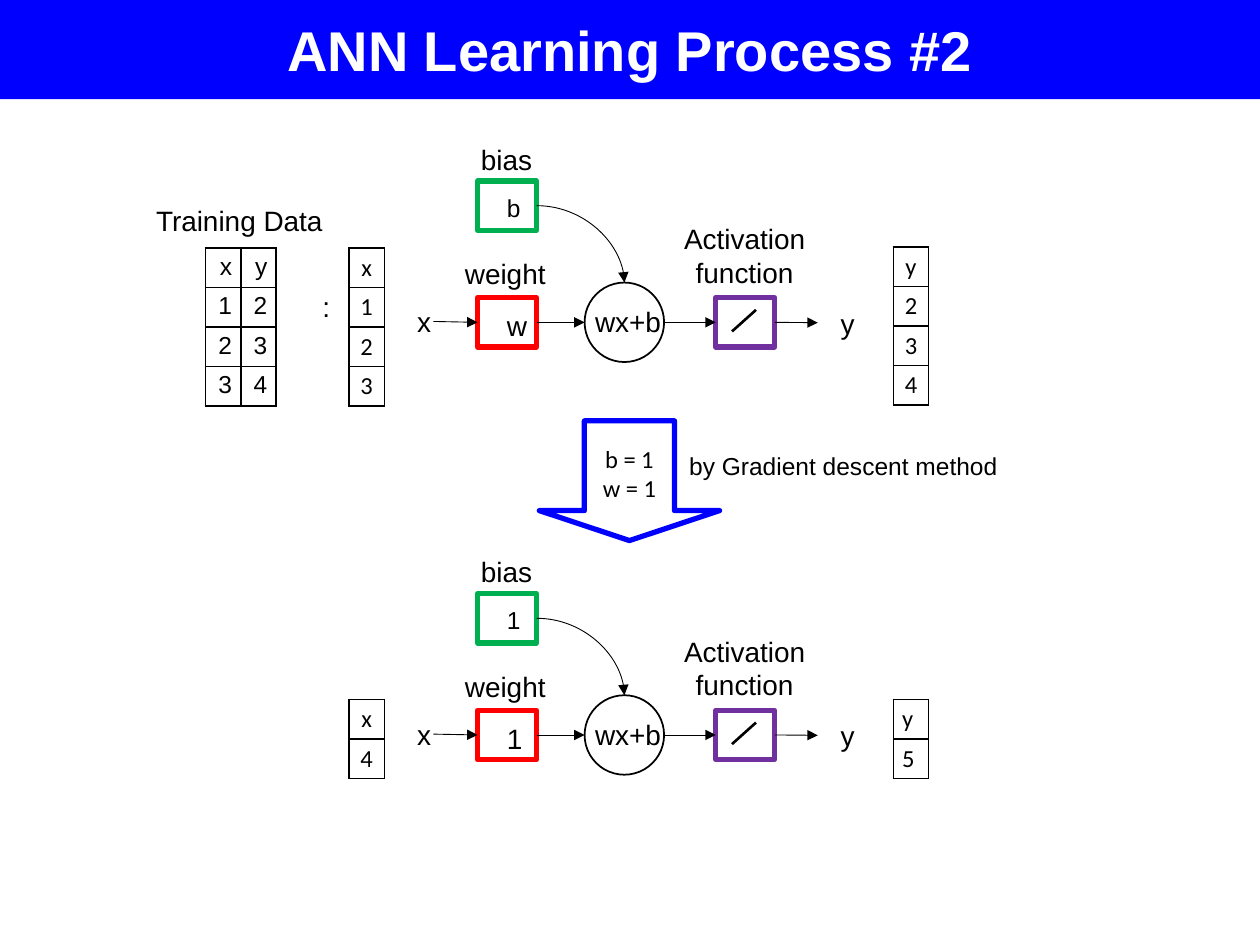
"""Build a slide that shows a one-neuron network before and after training."""
import lxml.etree
import pptx
import pptx.dml.color
import pptx.enum.shapes
import pptx.enum.text
import pptx.oxml.ns
import pptx.util

Pt = pptx.util.Pt
qn = pptx.oxml.ns.qn
ALIGN = pptx.enum.text.PP_ALIGN
ANCHOR = pptx.enum.text.MSO_ANCHOR
SHAPE = pptx.enum.shapes.MSO_SHAPE
CONNECTOR = pptx.enum.shapes.MSO_CONNECTOR
COLORS = {
    "ink": "000000",
    "paper": "FFFFFF",
    "blue": "0000FF",
    "weight": "FF0000",
    "bias": "00B050",
    "activation": "7030A0",
}
TOP, LEFT, RIGHT = 0, 1, 3


class Sketch:
    def __init__(self, slide):
        self.slide = slide
        self.canvas = slide.shapes

    def color(self, name):
        return pptx.dml.color.RGBColor.from_string(COLORS[name])

    def words(self, frame, text, size, font="Arial", color="ink", align=ALIGN.CENTER, bold=False):
        frame.text = text
        for paragraph in frame.paragraphs:
            paragraph.alignment = align
            for run in paragraph.runs:
                run.font.size = Pt(size)
                run.font.name = font
                run.font.bold = bold
                run.font.color.rgb = self.color(color)

    def shape(self, kind, left, top, width, height, line=None, weight=1, fill=None):
        shape = self.canvas.add_shape(kind, Pt(left), Pt(top), Pt(width), Pt(height))
        shape.shadow.inherit = False
        if fill:
            shape.fill.solid()
            shape.fill.fore_color.rgb = self.color(fill)
        else:
            shape.fill.background()
        if line:
            shape.line.color.rgb = self.color(line)
            shape.line.width = Pt(weight)
        else:
            shape.line.fill.background()
        shape.text_frame.vertical_anchor = ANCHOR.MIDDLE
        return shape

    def label(self, text, left, top, width, height=26.6, size=16, wrap=True, align=ALIGN.CENTER):
        box = self.canvas.add_textbox(Pt(left), Pt(top), Pt(width), Pt(height))
        self.words(box.text_frame, text, size, align=align)
        box.text_frame.word_wrap = wrap
        box.text_frame.auto_size = pptx.enum.text.MSO_AUTO_SIZE.SHAPE_TO_FIT_TEXT

    def line(self, start, end, weight=0.5, arrow=True, curved=False, source=None, target=None):
        kind = CONNECTOR.CURVE if curved else CONNECTOR.STRAIGHT
        link = self.canvas.add_connector(kind, *(Pt(value) for value in start + end))
        link.line.color.rgb = self.color("ink")
        link.line.width = Pt(weight)
        properties = link.element.spPr
        if curved:
            properties.find(qn("a:prstGeom")).set("prst", "curvedConnector2")
        if arrow:
            lxml.etree.SubElement(properties.find(qn("a:ln")), qn("a:tailEnd"), type="triangle")
        lxml.etree.SubElement(properties, qn("a:effectLst"))
        if source:
            link.begin_connect(source, RIGHT)
        if target:
            link.end_connect(target, TOP if curved else LEFT)

    def border(self, cell):
        properties = cell._tc.get_or_add_tcPr()
        for place, side in enumerate(("a:lnL", "a:lnR", "a:lnT", "a:lnB")):
            edge = lxml.etree.Element(qn(side), w=str(int(Pt(1))))
            paint = lxml.etree.SubElement(edge, qn("a:solidFill"))
            lxml.etree.SubElement(paint, qn("a:srgbClr"), val=COLORS["ink"])
            properties.insert(place, edge)

    def table(self, rows, left, top, font="Calibri", align=ALIGN.CENTER, column=20.2, row=22.2):
        count, width = len(rows), len(rows[0])
        table = self.canvas.add_table(
            count, width, Pt(left), Pt(top), Pt(column * width), Pt(row * count)
        ).table
        table.first_row = table.horz_banding = False
        for table_column in table.columns:
            table_column.width = Pt(column)
        for table_row, values in zip(table.rows, rows):
            table_row.height = Pt(row)
            for cell, value in zip(table_row.cells, values):
                cell.margin_left = cell.margin_right = Pt(5.04)
                cell.margin_top = cell.margin_bottom = Pt(2.88)
                cell.fill.background()
                self.border(cell)
                self.words(cell.text_frame, value, 14, font, align=align)

    def network(self, axis, bias_value, weight_value):
        self.canvas = self.slide.shapes.add_group_shape().shapes
        box = (33.8, 28.1)
        weight = self.shape(SHAPE.RECTANGLE, 272.9, axis - 14.05, *box, "weight", 3)
        activation = self.shape(SHAPE.RECTANGLE, 409, axis - 14.05, *box, "activation", 3)
        bias = self.shape(SHAPE.RECTANGLE, 272.9, axis - 80.7, *box, "bias", 3)
        neuron = self.shape(SHAPE.OVAL, 334.1, axis - 22.7, 45.4, 45.4, "ink", 1)

        self.line((247.7, axis - 0.5), (272.9, axis), target=weight)
        self.line((306.7, axis), (334.1, axis), source=weight)
        self.line((379.5, axis), (409, axis), target=activation)
        self.line((442.8, axis), (467.3, axis + 0.2), source=activation)
        self.line((418.3, axis + 5.2), (432, axis - 7.1), weight=1.5, arrow=False)
        self.line((306.7, axis - 66.65), (356.8, axis - 22.7), curved=True, source=bias, target=neuron)

        self.label("x", 231.8, axis - 13.6, 13.7)
        self.label(weight_value, 283, axis - 11.4, 13.7)
        self.label("wx+b", 331.9, axis - 13.6, 54)
        self.label("y", 473.8, axis - 12.8, 13.7)
        self.label("weight", 257.8, axis - 40.9, 61.9)
        self.label("Activation\nfunction", 377.3, axis - 61.1, 96.5, 46)
        self.label("bias", 265.7, axis - 106.4, 47.5)
        self.label(bias_value, 283, axis - 77.6, 13.7, 24.5, 14)
        self.canvas = self.slide.shapes


def main():
    deck = pptx.Presentation()
    deck.slide_width, deck.slide_height = Pt(720), Pt(540)
    sketch = Sketch(deck.slides.add_slide(deck.slide_layouts[6]))

    title = sketch.shape(SHAPE.RECTANGLE, 0, 0, 720, 56.7, fill="blue")
    sketch.words(title.text_frame, "ANN Learning Process #2", 32, color="paper", bold=True)

    sketch.label("Training Data", 82.1, 113, 110.9, wrap=False, align=ALIGN.LEFT)
    sketch.table(["xy", "12", "23", "34"], 117.4, 141.8, "Arial", ALIGN.RIGHT)
    sketch.label(":", 177.1, 162, 19.4, wrap=False, align=ALIGN.LEFT)
    sketch.table("x123", 199.4, 141.8)
    sketch.network(184.2, "b", "w")
    sketch.table("y234", 510.5, 141.1)

    learned = sketch.shape(SHAPE.DOWN_ARROW, 308.2, 240.5, 103, 68.4, "blue", 3)
    learned.adjustments[0], learned.adjustments[1] = 0.5, 0.25
    sketch.words(learned.text_frame, "b = 1\nw = 1", 14, "Calibri")
    sketch.label("by Gradient descent method", 385.9, 254.2, 192.2, 24.5, 14)

    sketch.table("x4", 199.4, 399.6)
    sketch.network(420, "1", "1")
    sketch.table("y5", 510.5, 399.6, align=ALIGN.LEFT)

    deck.save("out.pptx")


if __name__ == "__main__":
    main()
